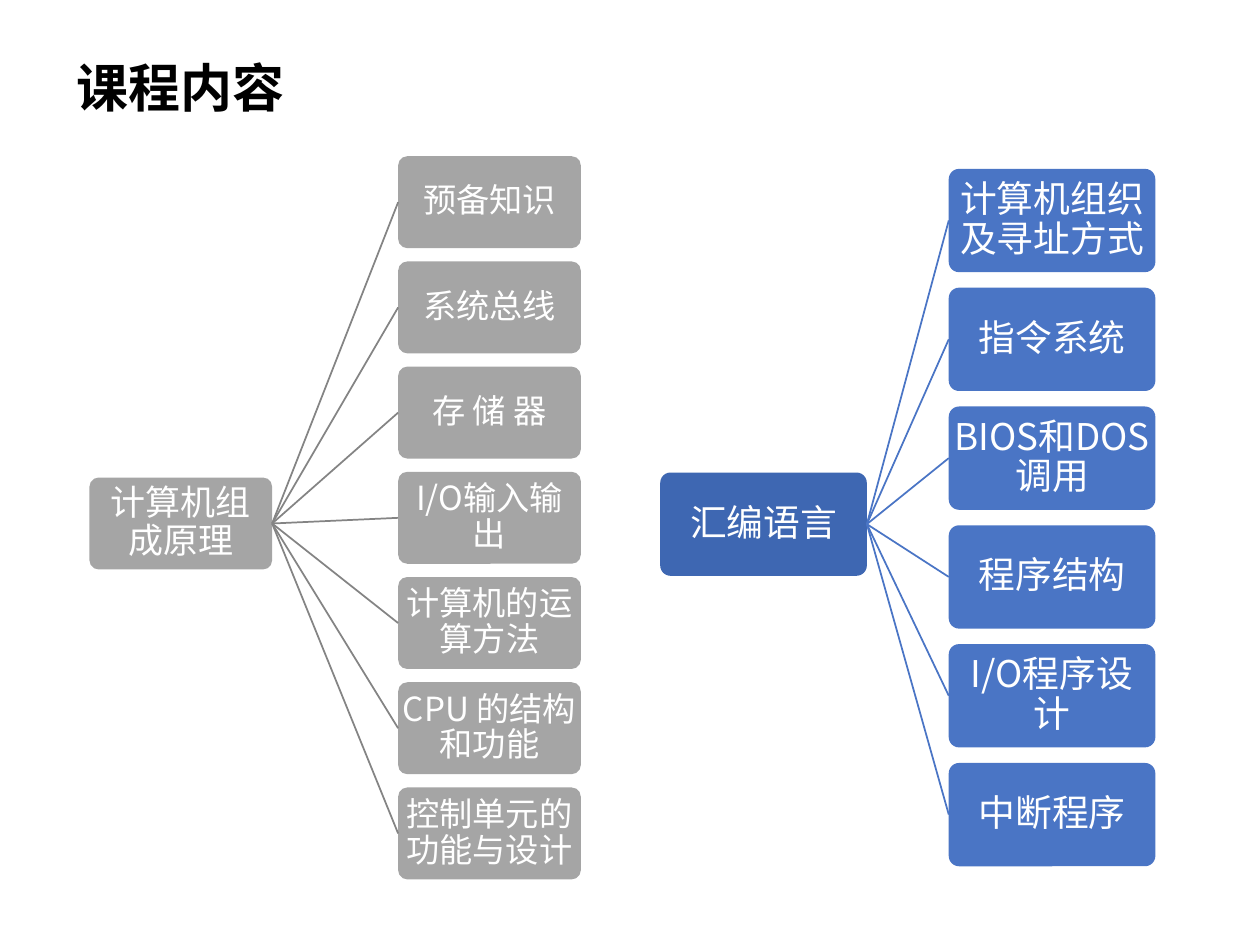
from pptx import Presentation
from pptx.dml.color import RGBColor
from pptx.enum.shapes import MSO_CONNECTOR, MSO_SHAPE
from pptx.enum.text import MSO_ANCHOR, PP_ALIGN
from pptx.oxml.ns import qn
from pptx.util import Inches, Pt

ROUND_RECT = MSO_SHAPE.ROUNDED_RECTANGLE
STRAIGHT = MSO_CONNECTOR.STRAIGHT
MIDDLE = MSO_ANCHOR.MIDDLE
CENTER, LEFT = PP_ALIGN.CENTER, PP_ALIGN.LEFT
LEFT_SIDE, RIGHT_SIDE = 1, 3

FONT = "Noto Sans CJK SC"
COLORS = {
    "title": "000000",
    "text": "FFFFFF",
    "gray": "A5A5A5",
    "gray_line": "848484",
    "blue": "4A75C5",
    "blue_root": "3E67B2",
}

# Each tree: one root on the left, topics in an evenly spaced column
TREES = [
    {
        "root": "计算机组成原理", "root_at": (0.71, 3.79), "root_size": 20,
        "topics": ["预备知识", "系统总线", "存 储 器", "I/O输入输出",
                   "计算机的运算方法", "CPU 的结构和功能", "控制单元的功能与设计"],
        "topics_at": (3.16, 1.24), "pitch": 0.835, "topic_size": 19,
        "box": (1.45, 0.73),
        "root_fill": "gray", "topic_fill": "gray", "line": "gray_line",
    },
    {
        "root": "汇编语言", "root_at": (5.24, 3.75), "root_size": 21,
        "topics": ["计算机组织及寻址方式", "指令系统", "BIOS和DOS调用",
                   "程序结构", "I/O程序设计", "中断程序"],
        "topics_at": (7.53, 1.34), "pitch": 0.943, "topic_size": 21,
        "box": (1.64, 0.82),
        "root_fill": "blue_root", "topic_fill": "blue", "line": "blue",
    },
]


def rgb(name):
    return RGBColor.from_string(COLORS[name])


def write(tf, text, size, color, align, bold=False):
    tf.word_wrap = True
    tf.vertical_anchor = MIDDLE
    p = tf.paragraphs[0]
    p.alignment = align
    p.line_spacing = 0.9
    r = p.add_run()
    r.text = text
    for font in (p.font, r.font):
        font.name = FONT
        font.size = Pt(size)
        font.bold = bold
        font.color.rgb = rgb(color)
    # East Asian glyphs take their typeface from a:ea
    r.font._element.find(qn("a:latin")).addnext(
        r.font._element.makeelement(qn("a:ea"), {"typeface": FONT}))


def add_title(s, text):
    box = s.shapes.add_textbox(Inches(0.51), Inches(0.44), Inches(7.48), Inches(0.55))
    write(box.text_frame, text, 29.7, "title", LEFT, bold=True)


def add_node(s, text, at, box, fill, size):
    sp = s.shapes.add_shape(ROUND_RECT, *map(Inches, at + box))
    sp.adjustments[0] = 0.1
    sp.shadow.inherit = False
    sp.fill.solid()
    sp.fill.fore_color.rgb = rgb(fill)
    sp.line.fill.background()
    tf = sp.text_frame
    tf.margin_left = tf.margin_right = Inches(0.01)
    tf.margin_top = tf.margin_bottom = Inches(0.01)
    write(tf, text, size, "text", CENTER)
    return sp


def add_branch(s, root, topic, color):
    line = s.shapes.add_connector(STRAIGHT, 0, 0, 0, 0)
    line.begin_connect(root, RIGHT_SIDE)
    line.end_connect(topic, LEFT_SIDE)
    line.line.color.rgb = rgb(color)
    line.line.width = Pt(1)
    props = line._element.spPr
    props.append(props.makeelement(qn("a:effectLst"), {}))


def add_tree(s, tree):
    root = add_node(s, tree["root"], tree["root_at"], tree["box"],
                    tree["root_fill"], tree["root_size"])
    x, top = tree["topics_at"]
    for i, text in enumerate(tree["topics"]):
        topic = add_node(s, text, (x, top + i * tree["pitch"]), tree["box"],
                         tree["topic_fill"], tree["topic_size"])
        add_branch(s, root, topic, tree["line"])


def main():
    prs = Presentation()
    prs.slide_width, prs.slide_height = Inches(10), Inches(7.5)
    s = prs.slides.add_slide(prs.slide_layouts[6])
    add_title(s, "课程内容")
    for tree in TREES:
        add_tree(s, tree)
    prs.save("out.pptx")


if __name__ == "__main__":
    main()
